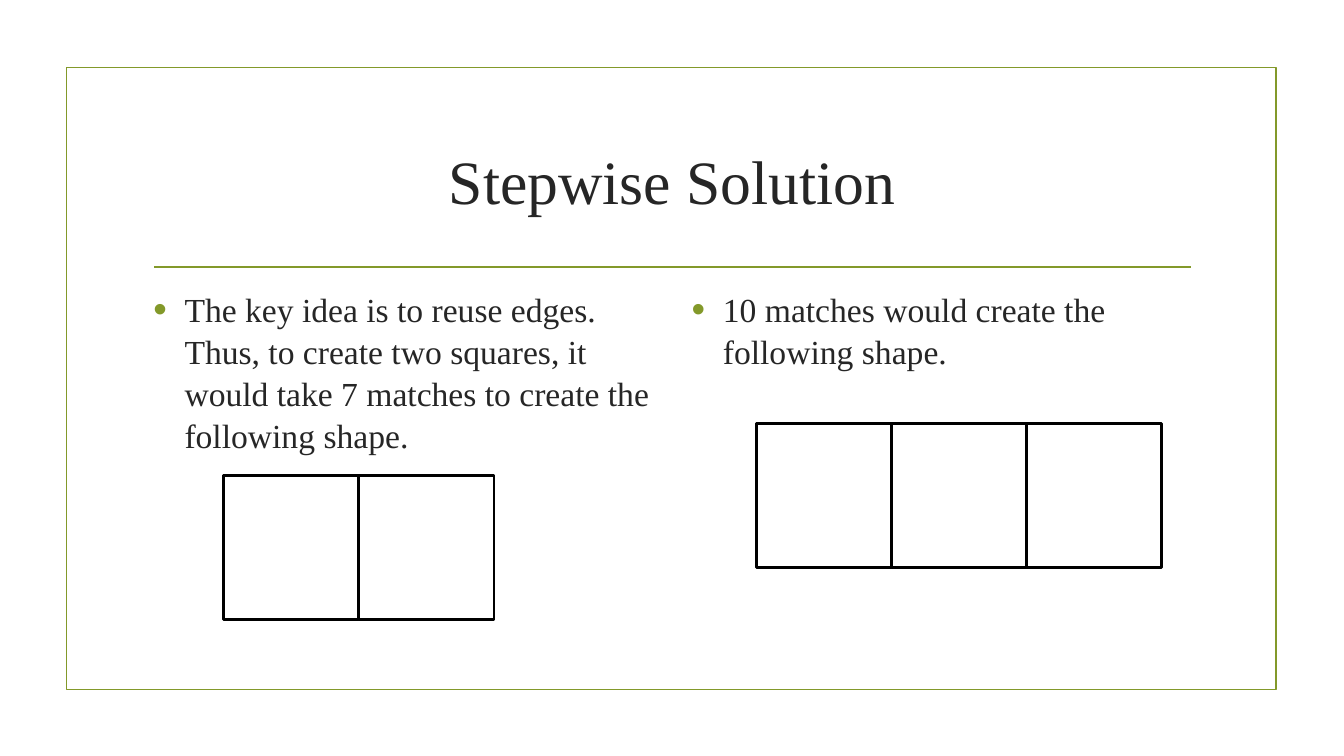
from pptx import Presentation
from pptx.dml.color import RGBColor
from pptx.enum.shapes import MSO_CONNECTOR as Connector, MSO_SHAPE as Preset
from pptx.enum.text import MSO_ANCHOR as Anchor, MSO_AUTO_SIZE as AutoSize, PP_ALIGN as Align
from pptx.oxml.ns import qn
from pptx.util import Pt
from lxml.etree import SubElement

PX = 9144  # EMU, 100 px to the inch
FONT = "Times New Roman"
COLORS = {"accent": "83992A", "text": "262626", "match": "000000"}
SQUARE_W, SQUARE_H = 134, 143


def color(name):
    return RGBColor.from_string(COLORS[name])


def px(*lengths):
    return [length * PX for length in lengths]


def apply(target, formats):
    for key, value in formats.items():
        setattr(target, key, value)


def outline(shape, name, width):
    shape.line.color.rgb = color(name)
    shape.line.width = Pt(width)


def add_box(slide, box, name, width):
    rect = slide.shapes.add_shape(Preset.RECTANGLE, *px(*box))
    rect.shadow.inherit = False
    rect.fill.background()
    outline(rect, name, width)


def fill_placeholder(holder, box, text, size, anchor, formats):
    apply(holder, dict(zip(("left", "top", "width", "height"), px(*box))))
    frame = holder.text_frame
    frame.text = text
    apply(frame, {"word_wrap": True, "auto_size": AutoSize.NONE,
                  "vertical_anchor": anchor})
    paragraph = frame.paragraphs[0]
    apply(paragraph, {"space_before": Pt(0), **formats})
    return paragraph, {"name": FONT, "size": Pt(size)}


def style_font(paragraph, font):
    apply(paragraph.font, font)
    paragraph.font.color.rgb = color("text")


# Border and rule under the title
def add_decoration(slide, box):
    left, top, width, height = box
    add_box(slide, box, "accent", 1.25)
    rule = slide.shapes.add_connector(
        Connector.STRAIGHT,
        *px(left + 87, top + 198, left + width - 85, top + 198))
    outline(rule, "accent", 1.25)
    SubElement(rule._element.spPr, qn("a:effectLst"))


def add_title(slide, box, text):
    style_font(*fill_placeholder(slide.shapes.title, box, text, 44, Anchor.MIDDLE,
                                 {"alignment": Align.CENTER}))


# Bulleted text with a row of squares made of matches
def add_step(slide, holder, box, text, squares, offset):
    paragraph, font = fill_placeholder(
        holder, box, text, 24, Anchor.TOP,
        {"space_after": Pt(6), "line_spacing": 1.04})
    props = paragraph._p.get_or_add_pPr()
    props.set("marL", str(31 * PX))
    props.set("indent", str(-31 * PX))
    bullet_color = SubElement(props, qn("a:buClr"))
    SubElement(bullet_color, qn("a:srgbClr"), val=COLORS["accent"])
    SubElement(props, qn("a:buSzPct"), val="115000")
    SubElement(props, qn("a:buFont"), typeface="Arial")
    SubElement(props, qn("a:buChar"), char="•")
    style_font(paragraph, font)

    left, top = box[0] + offset[0], box[1] + offset[1]
    for index in range(squares):
        add_box(slide, (left + index * SQUARE_W, top, SQUARE_W, SQUARE_H), "match", 2)


def main():
    prs = Presentation()
    prs.slide_width, prs.slide_height = px(1333, 750)
    slide = prs.slides.add_slide(prs.slide_layouts[3])
    add_decoration(slide, (66, 67, 1200, 617))
    add_title(slide, (142, 107, 1050, 143), "Stepwise Solution")
    steps = [
        ("The key idea is to reuse edges. Thus, to create two squares, it would "
         "take 7 matches to create the following shape.", 2, (80, 192)),
        ("10 matches would create the following shape.", 3, (74, 140)),
    ]
    for column, (text, squares, offset) in enumerate(steps):
        add_step(slide, slide.placeholders[column + 1],
                 (142 + column * 534, 280, 516, 362), text, squares, offset)
    prs.save("out.pptx")


if __name__ == "__main__":
    main()
